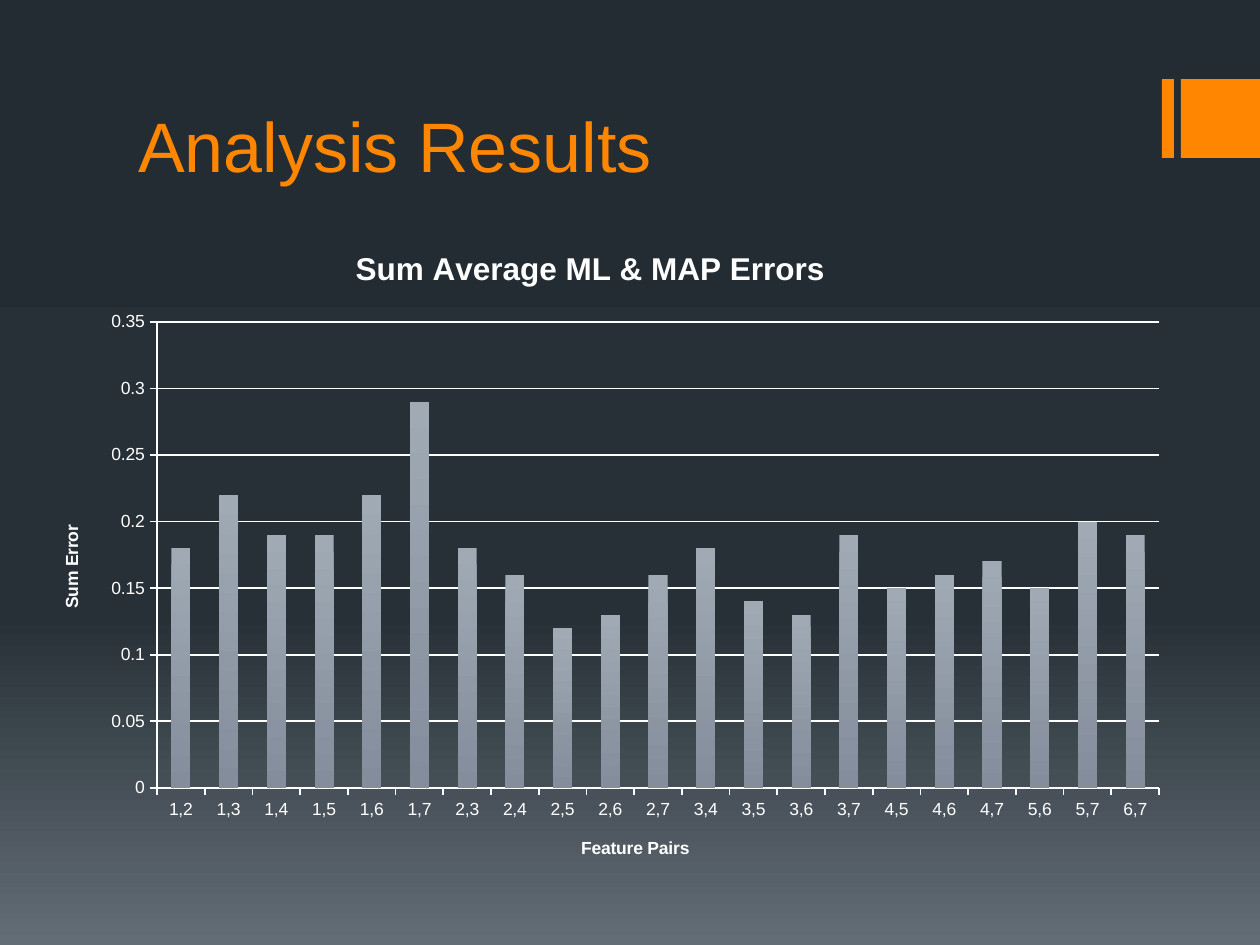
from copy import deepcopy
from lxml.etree import SubElement
from pptx import Presentation
from pptx.chart.data import CategoryChartData
from pptx.dml.color import RGBColor
from pptx.enum.chart import XL_CHART_TYPE as ChartType, XL_TICK_MARK as Tick
from pptx.enum.shapes import MSO_SHAPE as Shape
from pptx.enum.text import MSO_ANCHOR as Anchor
from pptx.oxml.ns import qn
from pptx.util import Pt

PX = 914400 // 126
ORANGE = RGBColor(0xFF, 0x86, 0x00)
WHITE = RGBColor(0xFF, 0xFF, 0xFF)
BAR_TOP = RGBColor(0xA0, 0xAA, 0xB5)
BAR_BASE = RGBColor(0x83, 0x8D, 0x9B)
BACKDROP = [
    (0, RGBColor(0x24, 0x2C, 0x33)),
    (0.65, RGBColor(0x27, 0x30, 0x37)),
    (1, RGBColor(0x63, 0x6D, 0x76)),
]

HEADING = "Analysis Results"
HEADING_BOX = (126, 34, 1008, 159)
ACCENTS = [(1162, 79, 12, 79), (1181, 79, 79, 79)]
CHART_BOX = (35, 231, 1147, 654)
PLOT_BOX = (157, 322, 1002, 466)
CHART_TITLE = ("Sum Average ML & MAP Errors", 18, (350, 242))
CATEGORY_TITLE = ("Feature Pairs", 10, (578, 833))
VALUE_TITLE = ("Sum Error", 10, (57, 522))
ERRORS = {
    "1,2": 0.18, "1,3": 0.22, "1,4": 0.19, "1,5": 0.19, "1,6": 0.22,
    "1,7": 0.29, "2,3": 0.18, "2,4": 0.16, "2,5": 0.12, "2,6": 0.13,
    "2,7": 0.16, "3,4": 0.18, "3,5": 0.14, "3,6": 0.13, "3,7": 0.19,
    "4,5": 0.15, "4,6": 0.16, "4,7": 0.17, "5,6": 0.15, "5,7": 0.2,
    "6,7": 0.19,
}


def emu(box):
    return [value * PX for value in box]


def style(target, **values):
    for name, value in values.items():
        setattr(target, name, value)


def style_font(font, size, color, bold=False):
    style(font, name="Arial", size=Pt(size), bold=bold)
    font.color.rgb = color


def style_line(line):
    line.color.rgb = WHITE
    line.width = Pt(1)


def paint_gradient(fill, stops):
    fill.gradient()
    fill.gradient_angle = 270
    holder = fill.gradient_stops[0]._gs.getparent()
    while len(holder) < len(stops):
        holder.append(deepcopy(holder[0]))
    for stop, (position, color) in zip(fill.gradient_stops, stops):
        stop.position = position
        stop.color.rgb = color


def place(element, index, box):
    for old in element.findall(qn("c:layout")):
        element.remove(old)
    layout = SubElement(element, qn("c:layout"))
    element.insert(index, layout)
    manual = SubElement(layout, qn("c:manualLayout"))
    left, top, width, height = CHART_BOX
    shares = [(box[0] - left) / width, (box[1] - top) / height]
    if len(box) == 4:
        SubElement(manual, qn("c:layoutTarget"), val="inner")
        shares += [box[2] / width, box[3] / height]
    for mode in ("xMode", "yMode"):
        SubElement(manual, qn(f"c:{mode}"), val="edge")
    for name, share in zip("xywh", shares):
        SubElement(manual, qn(f"c:{name}"), val=f"{share:.4f}")


def write_title(title, content):
    text, size, spot = content
    para = title.text_frame.paragraphs[0]
    span = para.add_run()
    span.text = text
    for font in (para.font, span.font):
        style_font(font, size, WHITE, bold=True)
    place(title._element, 1, spot)


def add_heading(page):
    box = page.shapes.add_textbox(*emu(HEADING_BOX))
    frame = box.text_frame
    style(frame, word_wrap=True, vertical_anchor=Anchor.BOTTOM)
    span = frame.paragraphs[0].add_run()
    span.text = HEADING
    style_font(span.font, 40, ORANGE)


def add_error_chart(page):
    data = CategoryChartData()
    data.categories = list(ERRORS)
    data.add_series("Series 1", list(ERRORS.values()))
    chart = page.shapes.add_chart(
        ChartType.COLUMN_CLUSTERED, *emu(CHART_BOX), data).chart
    chart.has_legend = False
    style_font(chart.font, 10, WHITE)
    write_title(chart.chart_title, CHART_TITLE)
    axes = [(chart.category_axis, CATEGORY_TITLE), (chart.value_axis, VALUE_TITLE)]
    for axis, content in axes:
        write_title(axis.axis_title, content)
        style(axis, major_tick_mark=Tick.OUTSIDE, minor_tick_mark=Tick.NONE)
        style_line(axis.format.line)
    style(chart.value_axis, minimum_scale=0, maximum_scale=0.35,
          major_unit=0.05, has_major_gridlines=True)
    style_line(chart.value_axis.major_gridlines.format.line)
    plot = chart.plots[0]
    style(plot, gap_width=150, vary_by_categories=False)
    paint_gradient(plot.series[0].format.fill, [(0, BAR_TOP), (1, BAR_BASE)])
    place(chart._chartSpace.find(".//" + qn("c:plotArea")), 0, PLOT_BOX)


def main():
    """Build the analysis results slide with its error chart."""
    deck = Presentation()
    style(deck, slide_width=1260 * PX, slide_height=945 * PX)
    page = deck.slides.add_slide(deck.slide_layouts[6])
    paint_gradient(page.background.fill, BACKDROP)
    for bounds in ACCENTS:
        accent = page.shapes.add_shape(Shape.RECTANGLE, *emu(bounds))
        accent.shadow.inherit = False
        accent.fill.solid()
        accent.fill.fore_color.rgb = ORANGE
        accent.line.fill.background()
    add_heading(page)
    add_error_chart(page)
    deck.save("out.pptx")


if __name__ == "__main__":
    main()
